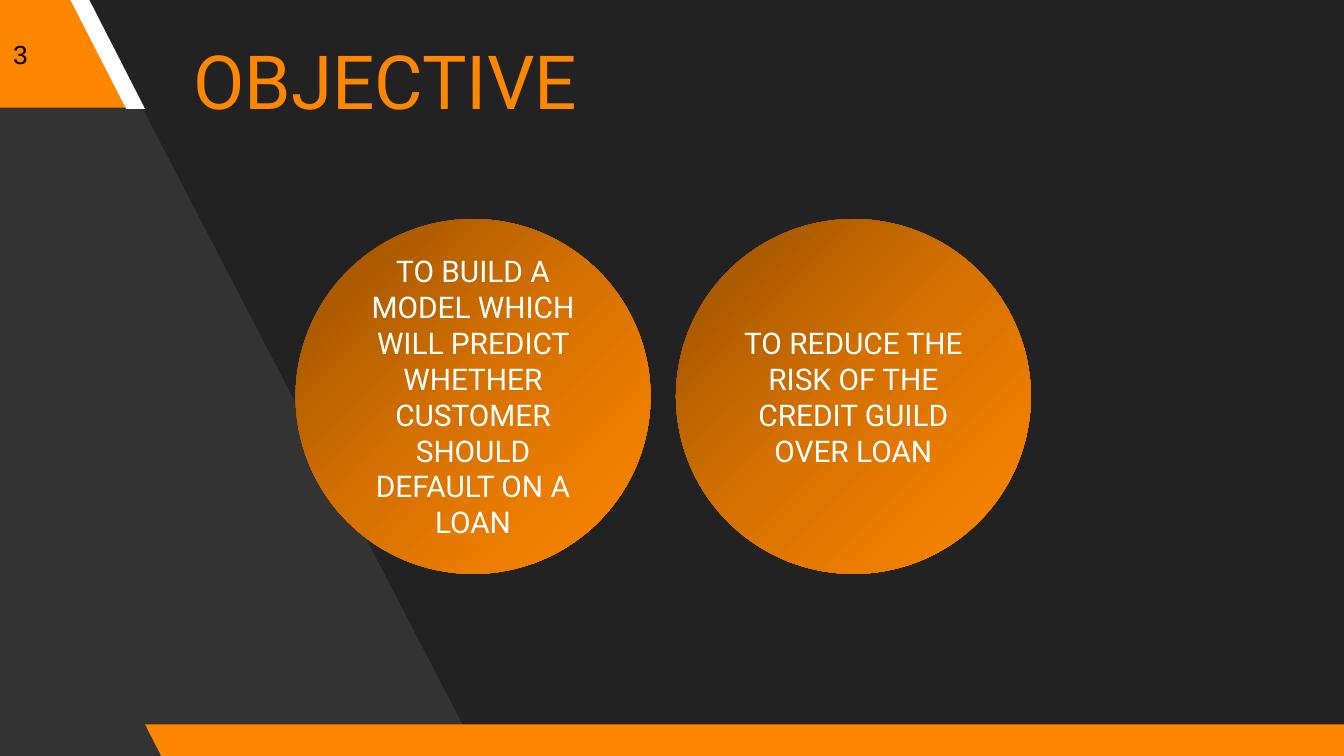
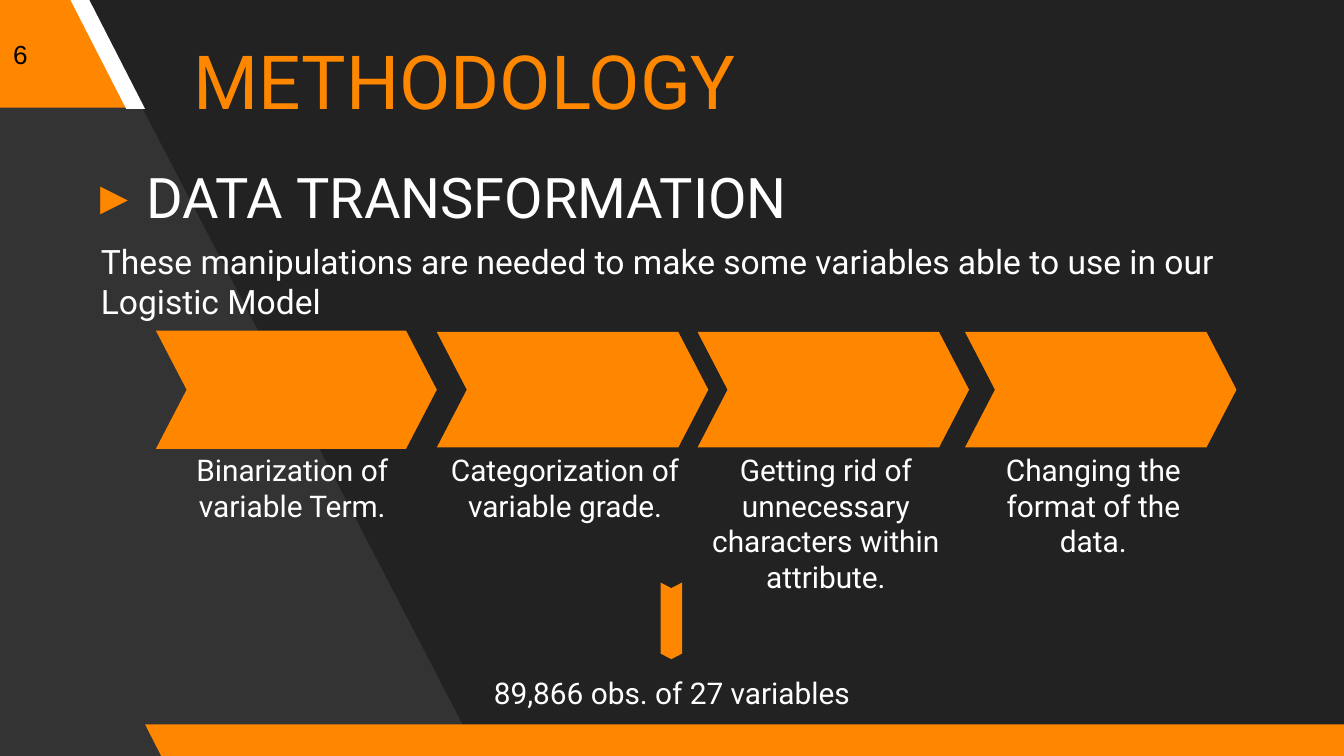
from copy import deepcopy

from lxml import etree
from pptx import Presentation
from pptx.dml.color import RGBColor
from pptx.enum.shapes import MSO_SHAPE
from pptx.enum.text import MSO_ANCHOR, MSO_AUTO_SIZE, PP_ALIGN
from pptx.oxml.ns import qn
from pptx.util import Inches, Pt

PARALLELOGRAM, CHEVRON, OVAL = MSO_SHAPE.PARALLELOGRAM, MSO_SHAPE.CHEVRON, MSO_SHAPE.OVAL
TOP, MIDDLE = MSO_ANCHOR.TOP, MSO_ANCHOR.MIDDLE
LEFT, CENTER = PP_ALIGN.LEFT, PP_ALIGN.CENTER
FIXED, GROW = MSO_AUTO_SIZE.NONE, MSO_AUTO_SIZE.SHAPE_TO_FIT_TEXT

ORANGE, WHITE, BLACK = "FF8700", "FFFFFF", "000000"
DARK, GREY = "222222", "333333"
GRADIENT = [(0, "975000"), (0.5, "D77200"), (1, ORANGE)]
rgb = RGBColor.from_string

INSET = Inches(0.1)
PADDED = {"word_wrap": True, "auto_size": FIXED, "vertical_anchor": MIDDLE,
          "margin_left": INSET, "margin_right": INSET,
          "margin_top": INSET, "margin_bottom": INSET}
PADDED_TOP = {**PADDED, "vertical_anchor": TOP}
GROWING = {"word_wrap": True, "auto_size": GROW, "vertical_anchor": TOP}


def add_shape(s, kind, box, color, adj=None):
    sp = s.shapes.add_shape(kind, *map(Inches, box))
    sp.shadow.inherit = False
    sp.fill.solid()
    sp.fill.fore_color.rgb = rgb(color)
    sp.line.fill.background()
    if adj is not None:
        sp.adjustments[0] = adj
    return sp


def write(sp, lines, frame, color=WHITE, align=LEFT, font="Roboto"):
    """Fill a shape with (text, size) lines."""
    tf = sp.text_frame
    for name, value in frame.items():
        setattr(tf, name, value)
    for i, (text, size) in enumerate(lines):
        p = tf.add_paragraph() if i else tf.paragraphs[0]
        p.alignment = align
        r = p.add_run()
        r.text = text
        r.font.name, r.font.size = font, Pt(size)
        r.font.color.rgb = rgb(color)
    return tf


# 16:9 page
prs = Presentation()
prs.slide_width = Inches(10)
prs.slide_height = prs.slide_width * 9 // 16
master = prs.slide_master
objective = prs.slides.add_slide(prs.slide_layouts[5])
methodology = prs.slides.add_slide(prs.slide_layouts[1])

# Master: background, grey wedge and slanted bands
master.background.fill.solid()
master.background.fill.fore_color.rgb = rgb(DARK)

outline = [(Inches(x), Inches(y))
           for x, y in [(3.56, 5.62), (0.62, -0.04), (-0.06, -0.04), (-0.02, 5.66)]]
fb = objective.shapes.build_freeform(*outline[0])
fb.add_line_segments(outline[1:], close=True)
wedge = fb.convert_to_shape()
wedge.shadow.inherit = False
wedge.fill.solid()
wedge.fill.fore_color.rgb = rgb(GREY)
wedge.line.fill.background()

decor = [wedge]
for box, color, adj in [((-0.99, -0.02, 1.93, 0.82), ORANGE, 0.51),
                        ((0.52, -0.01, 0.56, 0.82), WHITE, 0.75),
                        ((1.08, 5.39, 9.15, 0.25), ORANGE, 0.51)]:
    sp = add_shape(objective, PARALLELOGRAM, box, color, adj)
    sp._element.spPr.find(qn("a:xfrm")).set("flipH", "1")
    decor.append(sp)
for i, sp in enumerate(decor):
    sp._element.nvSpPr.cNvPr.set("id", str(20 + i))
    master.shapes._spTree.append(sp._element)

# Slide numbers and titles
for s, number, title in [(objective, "3", "OBJECTIVE"), (methodology, "6", "METHODOLOGY")]:
    sp = s.shapes.add_textbox(0, 0, Inches(0.65), Inches(0.8))
    write(sp, [(number, 14)], PADDED, BLACK, font="Arial")
    sp = s.shapes.title
    sp.left, sp.top, sp.width, sp.height = map(Inches, (1.34, 0, 6.17, 1.18))
    write(sp, [(title, 40)], PADDED, ORANGE)

# Objective: two gradient circles
goals = ["TO BUILD A MODEL WHICH WILL PREDICT WHETHER CUSTOMER SHOULD DEFAULT ON A LOAN",
         "TO REDUCE THE RISK OF THE CREDIT GUILD OVER LOAN"]
for i, goal in enumerate(goals):
    sp = add_shape(objective, OVAL, (2.2 + 2.83 * i, 1.63, 2.64, 2.64), ORANGE)
    sp.fill.gradient()
    sp.fill.gradient_angle = 315
    stops = sp._element.spPr.find(".//" + qn("a:gsLst"))
    stops.insert(1, deepcopy(stops[0]))
    for stop, (position, color) in zip(sp.fill.gradient_stops, GRADIENT):
        stop.position = position
        stop.color.rgb = rgb(color)
    write(sp, [(goal, 16)], PADDED, align=CENTER)

# Methodology: heading with bullet and lead text
sp = methodology.placeholders[1]
sp.left, sp.top, sp.width, sp.height = map(Inches, (0.65, 1.11, 9.35, 0.86))
tf = write(sp, [("DATA TRANSFORMATION", 30),
                ("These manipulations are needed to make some variables able to use "
                 "in our Logistic Model", 18)], PADDED_TOP)
for p, indent, bullet in zip(tf.paragraphs, (0.34, 0), ("▸", None)):
    p.space_before = Pt(6)
    pPr = p._p.get_or_add_pPr()
    pPr.set("marL", str(Inches(indent)))
    pPr.set("indent", str(-Inches(indent)))
    if bullet:
        clr = etree.SubElement(pPr, qn("a:buClr"))
        etree.SubElement(clr, qn("a:srgbClr")).set("val", ORANGE)
        etree.SubElement(pPr, qn("a:buFont")).set("typeface", "Roboto")
        etree.SubElement(pPr, qn("a:buChar")).set("char", bullet)
    else:
        etree.SubElement(pPr, qn("a:buNone"))

# Methodology: chevron steps with captions
steps = [((1.16, 2.46, 2.09, 0.88), 1.18, 0.64, "Binarization of variable Term."),
         ((3.25, 2.47, 2.02, 0.86), 3.21, 0.64, "Categorization of variable grade."),
         ((5.19, 2.47, 2.02, 0.86), 5.15, 1.18,
          "Getting rid of unnecessary characters within attribute."),
         ((7.18, 2.47, 2.02, 0.86), 7.14, 0.64, "Changing the format of the data.")]
for box, left, height, caption in steps:
    add_shape(methodology, CHEVRON, box, ORANGE, 0.26)
    sp = methodology.shapes.add_textbox(*map(Inches, (left, 3.31, 1.99, height)))
    write(sp, [(caption, 16)], GROWING, align=CENTER)

# Methodology: result
sp = methodology.shapes.add_textbox(*map(Inches, (0, 4.97, 10, 0.37)))
write(sp, [("89,866 obs. of 27 variables", 16)], GROWING, align=CENTER)
sp = add_shape(methodology, CHEVRON, (4.71, 4.54, 0.57, 0.16), ORANGE, 0.26)
sp.rotation = 90

prs.save("out.pptx")
